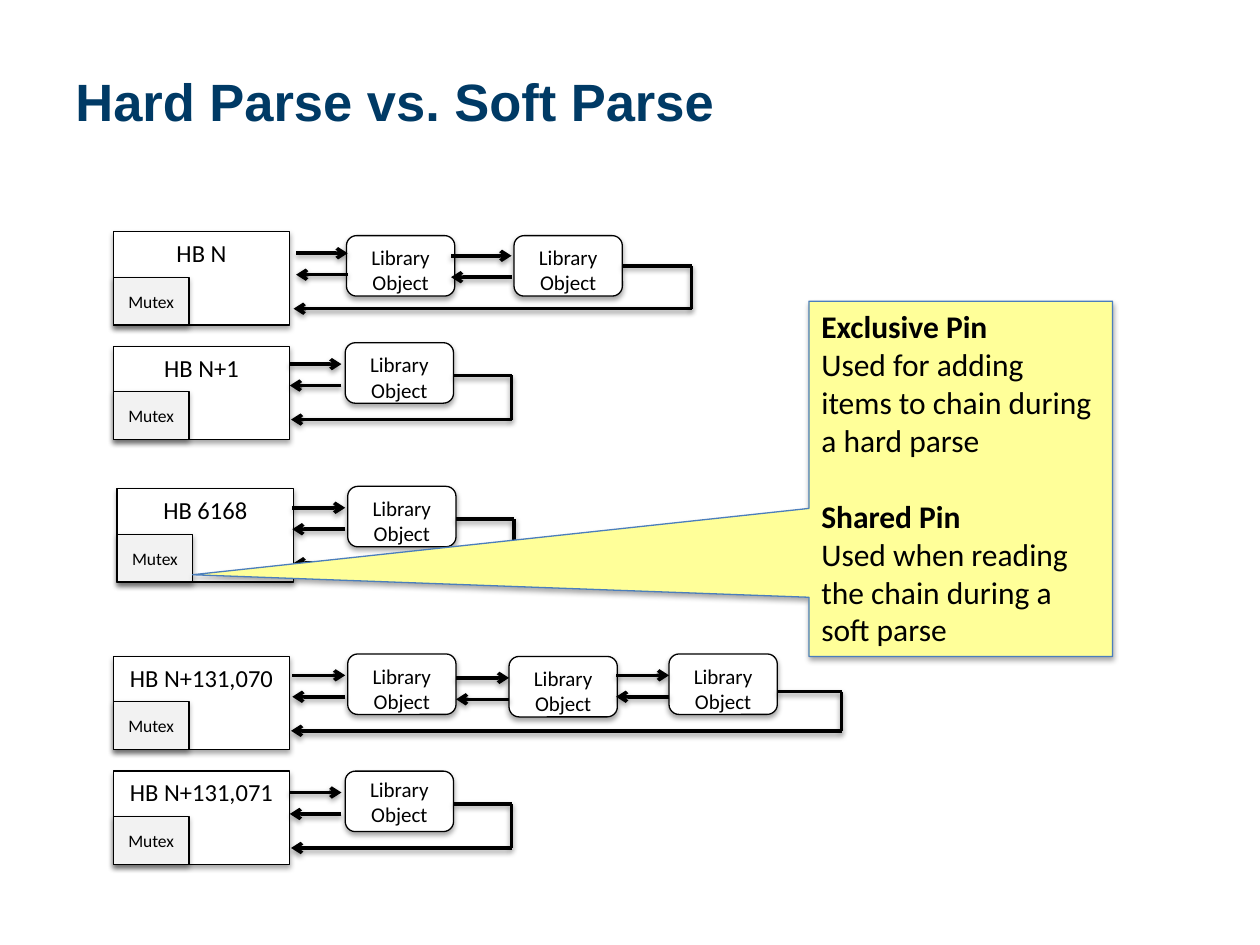
"""Build the slide comparing hard and soft parses across library cache hash buckets."""
from lxml.etree import SubElement
from pptx import Presentation
from pptx.dml.color import RGBColor
from pptx.enum.shapes import MSO_CONNECTOR, MSO_SHAPE as Shape
from pptx.enum.text import MSO_ANCHOR as Anchor, PP_ALIGN as Align
from pptx.oxml.ns import qn
from pptx.util import Inches, Pt

BLACK = RGBColor(0, 0, 0)
WHITE = RGBColor(255, 255, 255)
NAVY = RGBColor(0x00, 0x3A, 0x65)
GRAY = RGBColor(0xF2, 0xF2, 0xF2)
YELLOW = RGBColor(0xFF, 0xFF, 0x99)
BLUE = RGBColor(0x4B, 0x7E, 0xBC)

TITLE = "Hard Parse vs. Soft Parse"
PINS = [
    ("Exclusive Pin", "Used for adding items to chain during a hard parse"),
    ("Shared Pin", "Used when reading the chain during a soft parse"),
]
BUCKETS = [
    {"label": "HB N", "at": (0.9, 1.84), "objects": [(2.75, 1.87), (4.08, 1.87)],
     "links": [(2.35, 2.76, 2.01), (3.58, 4.06, 2.03)], "loop": (5.49, 2.11, 2.45, 2.33)},
    {"label": "HB N+1", "at": (0.9, 2.75), "objects": [(2.74, 2.72)],
     "links": [(2.3, 2.71, 2.89)], "loop": (4.06, 2.98, 3.33, 2.31)},
    {"label": "HB N+131,070", "at": (0.9, 5.21),
     "objects": [(2.76, 5.19), (4.04, 5.21), (5.31, 5.19)],
     "links": [(2.32, 2.74, 5.36), (3.62, 4.04, 5.38), (4.89, 5.31, 5.36)],
     "loop": (6.68, 5.49, 5.8, 2.31)},
    {"label": "HB N+131,071", "at": (0.9, 6.12), "objects": [(2.74, 6.12)],
     "links": [(2.3, 2.71, 6.29)], "loop": (4.06, 6.38, 6.73, 2.31), "anchor": Anchor.MIDDLE},
    {"label": "HB 6168", "at": (0.93, 3.88), "objects": [(2.76, 3.86)],
     "links": [(2.32, 2.74, 4.03)], "loop": (4.08, 4.12, 4.47, 2.33)},
]
BUCKET_SIZE = (1.4, 0.74)
OBJECT_SIZE = (0.86, 0.48)
MUTEX_SIZE = (0.6, 0.38)
RETURN_GAP = 0.17


def set_all(target, values):
    for name, value in values.items():
        setattr(target, name, value)


def add_shadow(effects, alpha, distance):
    shadow = SubElement(effects, qn("a:outerShdw"), blurRad=str(Pt(3.1)),
                        dist=str(Pt(distance)), dir="5400000", rotWithShape="0")
    color = SubElement(shadow, qn("a:srgbClr"), val="000000")
    SubElement(color, qn("a:alpha"), val=str(alpha * 1000))


def write(para, text, size, color=BLACK, font="Calibri", bold=False):
    span = para.add_run()
    span.text = text
    set_all(span.font, {"name": font, "size": Pt(size), "bold": bold})
    span.font.color.rgb = color


def add_box(parent, kind, at, size, fill=WHITE, line=BLACK, anchor=Anchor.TOP):
    box = parent.shapes.add_shape(kind, *map(Inches, at + size))
    box.fill.solid()
    box.fill.fore_color.rgb = fill
    box.line.color.rgb = line
    box.line.width = Pt(0.75)
    box.shadow.inherit = False
    add_shadow(box._element.spPr.find(qn("a:effectLst")), 35, 1.8)
    set_all(box.text_frame, {"word_wrap": True, "vertical_anchor": anchor})
    return box


def add_label_box(parent, kind, at, size, text, points, **style):
    box = add_box(parent, kind, at, size, **style)
    para = box.text_frame.paragraphs[0]
    para.alignment = Align.CENTER
    write(para, text, points)
    return box


def add_line(parent, start, end, arrow=False):
    line = parent.shapes.add_connector(MSO_CONNECTOR.STRAIGHT, *map(Inches, start + end))
    line.line.color.rgb = BLACK
    line.line.width = Pt(2)
    properties = line._element.spPr
    if arrow:
        SubElement(properties.find(qn("a:ln")), qn("a:tailEnd"), type="arrow")
    add_shadow(SubElement(properties, qn("a:effectLst")), 38, 1.6)
    return line


def add_bucket(page, bucket):
    group = page.shapes.add_group_shape()
    left, top = bucket["at"]
    add_label_box(group, Shape.RECTANGLE, bucket["at"], BUCKET_SIZE, bucket["label"], 14)
    for at in bucket["objects"]:
        last_object = add_label_box(group, Shape.ROUNDED_RECTANGLE, at, OBJECT_SIZE,
                                    "Library Object", 12, anchor=bucket.get("anchor", Anchor.TOP))
    for start, end, y in bucket["links"]:
        add_line(group, (start, y), (end, y), arrow=True)
        add_line(group, (end, y + RETURN_GAP), (start, y + RETURN_GAP), arrow=True)

    right, upper, lower, back = bucket["loop"]
    object_left, object_top = bucket["objects"][-1]
    exit_line = add_line(group, (object_left + OBJECT_SIZE[0], upper), (right, upper))
    if abs(object_top + OBJECT_SIZE[1] / 2 - upper) < 0.01:
        exit_line.begin_connect(last_object, 3)
    add_line(group, (right, upper), (right, lower))
    add_line(group, (right, lower), (back, lower), arrow=True)
    mutex_top = top + BUCKET_SIZE[1] - MUTEX_SIZE[1]
    add_label_box(group, Shape.RECTANGLE, (left, mutex_top), MUTEX_SIZE, "Mutex", 10,
                  fill=GRAY, anchor=Anchor.MIDDLE)


def add_title(page):
    box = page.shapes.add_textbox(*map(Inches, (0.5, 0.3, 9.01, 0.99)))
    set_all(box.text_frame, {"word_wrap": True, "vertical_anchor": Anchor.MIDDLE})
    write(box.text_frame.paragraphs[0], TITLE, 30, NAVY, "Arial", True)


def add_callout(page):
    box = add_box(page, Shape.RECTANGULAR_CALLOUT, (6.42, 2.39), (2.41, 2.82), YELLOW, BLUE)
    box.adjustments[0], box.adjustments[1] = -2.53, 0.27
    frame = box.text_frame
    for index, (heading, detail) in enumerate(PINS):
        para = frame.add_paragraph() if index else frame.paragraphs[0]
        para.alignment = Align.LEFT
        if index:
            para.space_before = Pt(22)
        write(para, heading, 18, bold=True)
        para = frame.add_paragraph()
        para.alignment = Align.LEFT
        write(para, detail, 18)


def main():
    deck = Presentation()
    set_all(deck, {"slide_width": Inches(10), "slide_height": Inches(7.5)})
    page = deck.slides.add_slide(deck.slide_layouts[6])
    add_title(page)
    for bucket in BUCKETS:
        add_bucket(page, bucket)
    add_callout(page)
    deck.save("out.pptx")


if __name__ == "__main__":
    main()
